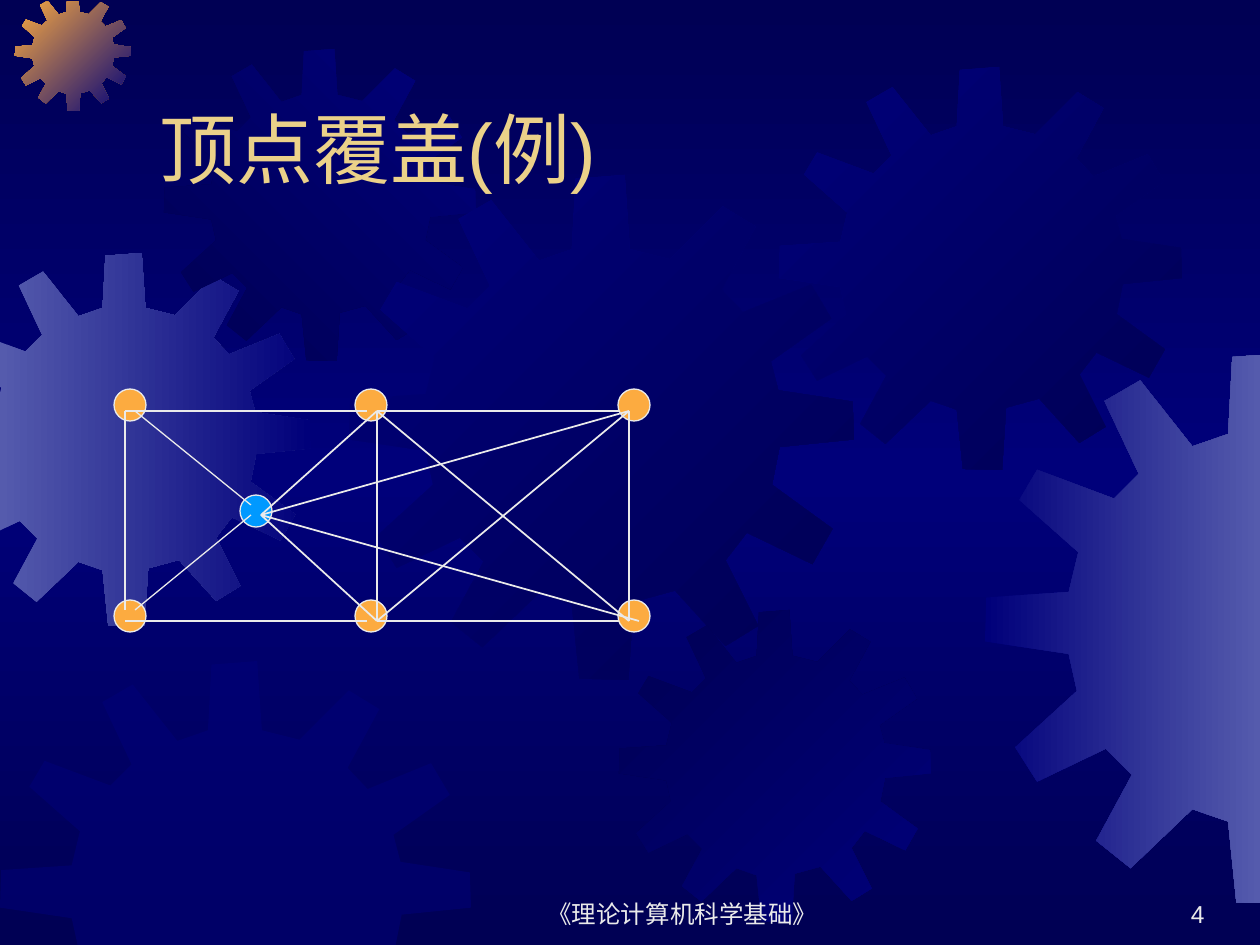
from copy import deepcopy

from lxml import etree
from pptx import Presentation
from pptx import util as u
from pptx.dml.color import RGBColor
from pptx.enum import lang, shapes, text
from pptx.oxml.ns import qn

SCALE = u.Inches(1) / 126
WIDTH, HEIGHT = 1260, 945
FRAME = (0, 2, WIDTH, HEIGHT)
DARK, NAVY, VIOLET, ORANGE = "000054", "00007A", "555BAD", "FCAB40"
BLUE, LIGHT, GOLD = "0099FF", "EAEAEA", "EBD189"

GEAR_SIZE = 401
GEAR = [
    (255, 67), (223, 59), (219, 0), (180, 3), (177, 59), (151, 68),
    (113, 20), (87, 35), (112, 88), (94, 106), (38, 85), (25, 107),
    (68, 145), (61, 174), (1, 178), (0, 210), (61, 219), (67, 246),
    (22, 287), (38, 312), (88, 288), (107, 307), (81, 355), (106, 375),
    (151, 332), (177, 341), (183, 400), (222, 401), (226, 339), (259, 330),
    (299, 374), (325, 358), (299, 306), (316, 284), (368, 309), (384, 281),
    (336, 246), (342, 216), (401, 210), (400, 180), (341, 171), (335, 148),
    (383, 114), (367, 87), (313, 109), (296, 91), (323, 41), (297, 25),
]
GEARS = [
    ((-62, 253, 373), (VIOLET, NAVY), 0),
    ((15, -5, 116), (ORANGE, NAVY), 45),
    ((164, 49, 312), (DARK, NAVY), 315),
    ((349, 175, 505), (NAVY, DARK), 45),
    ((0, 661, 471), (NAVY,), 0),
    ((619, 610, 312), (DARK, NAVY), 45),
    ((779, 67, 403), (NAVY, DARK), 45),
    ((985, 353, 551), (NAVY, VIOLET), 0),
]

NODE_SIZE = 32
HUB = (126, 106)
NODES = [(x, y) for x in (0, 241, 504) for y in (0, 211)]
THIN_EDGES = [
    (11, 22, 11, 221), (11, 22, 253, 22), (11, 232, 253, 232),
    (21, 22, 137, 116), (21, 221, 137, 126),
]
BOLD_EDGES = [
    (263, 22, 505, 22), (263, 232, 505, 232), (515, 22, 515, 232),
    (263, 22, 263, 232), (263, 22, 515, 232), (263, 232, 515, 22),
    (263, 22, 147, 126), (147, 126, 263, 232), (147, 126, 515, 22),
    (147, 126, 525, 232),
]


def px(*lengths):
    """Turn pixel lengths into EMU."""
    return [u.Emu(round(length * SCALE)) for length in lengths]


def colour(value):
    """Turn a hex string into a colour."""
    return RGBColor.from_string(value)


def paint_gradient(fill, colours, angle):
    """Fill with evenly spaced colours at a clockwise angle."""
    fill.gradient()
    fill.gradient_angle = -angle % 360
    stops = fill.gradient_stops
    for index, (stop, value) in enumerate(zip(stops, colours)):
        stop.color.rgb = colour(value)
        stop.position = index / (len(colours) - 1)


def paint_background(page):
    """Paint the page dark at both ends and lighter in the middle."""
    fill = page.background.fill
    fill.gradient()
    stop_list = next(page.element.iter(qn("a:gsLst")))
    stop_list.append(deepcopy(stop_list[-1]))
    paint_gradient(fill, (DARK, NAVY, DARK), 90)


def clip(points, axis, limit, sign):
    """Cut a polygon at one edge of the frame."""
    kept = []
    for start, end in zip(points, points[1:] + points[:1]):
        before, after = [sign * (point[axis] - limit) for point in (start, end)]
        if before >= 0:
            kept.append(start)
        if before * after < 0:
            part = before / (before - after)
            kept.append(tuple(a + part * (b - a) for a, b in zip(start, end)))
    return kept


def add_gear(page, box, colours, angle):
    """Draw a gear in a square box, cut at the frame."""
    left, top, size = box
    ratio = size / GEAR_SIZE
    points = [(left + x * ratio, top + y * ratio) for x, y in GEAR]
    for edge, limit in enumerate(FRAME):
        points = clip(points, edge % 2, limit, 1 if edge < 2 else -1)
    points = [tuple(px(*point)) for point in points]
    builder = page.shapes.build_freeform(*points[0])
    builder.add_line_segments(points[1:], close=True)
    gear = builder.convert_to_shape()
    gear.shadow.inherit = False
    gear.line.fill.background()
    if len(colours) > 1:
        paint_gradient(gear.fill, colours, angle)
    else:
        gear.fill.solid()
        gear.fill.fore_color.rgb = colour(colours[0])
        tint = next(gear.element.spPr.iter(qn("a:srgbClr")))
        etree.SubElement(tint, qn("a:alpha"), val="50000")


def add_text(page, box, words, size, value, align):
    """Write one line at the bottom of a box."""
    frame = page.shapes.add_textbox(*px(*box)).text_frame
    frame.word_wrap = True
    frame.vertical_anchor = text.MSO_ANCHOR.BOTTOM
    para = frame.paragraphs[0]
    para.alignment = align
    span = para.add_run()
    span.text = words
    settings = {"name": "Arial", "size": u.Pt(size),
                "language_id": lang.MSO_LANGUAGE_ID.SIMPLIFIED_CHINESE}
    for name, setting in settings.items():
        setattr(span.font, name, setting)
    span.font.color.rgb = colour(value)


def add_node(group, left, top, value):
    """Draw one vertex of the graph."""
    node = group.shapes.add_shape(
        shapes.MSO_SHAPE.OVAL, *px(left, top, NODE_SIZE, NODE_SIZE))
    node.shadow.inherit = False
    node.fill.solid()
    node.fill.fore_color.rgb = colour(value)
    node.line.color.rgb = colour(LIGHT)
    node.line.width = u.Pt(0.75)


def add_edge(group, ends, width):
    """Draw one edge of the graph."""
    edge = group.shapes.add_connector(shapes.MSO_CONNECTOR.STRAIGHT, *px(*ends))
    edge.line.color.rgb = colour(LIGHT)
    edge.line.width = u.Pt(width)
    etree.SubElement(edge.element.spPr, qn("a:effectLst"))


def add_graph(page, left, top):
    """Draw the graph with its vertex cover from a top left corner."""
    group = page.shapes.add_group_shape()
    for x, y in NODES + [HUB]:
        add_node(group, left + x, top + y, BLUE if (x, y) == HUB else ORANGE)
    for edges, width in ((THIN_EDGES, 0.75), (BOLD_EDGES, 1)):
        for x1, y1, x2, y2 in edges:
            add_edge(group, (left + x1, top + y1, left + x2, top + y2), width)


def build_deck():
    """Build and save the slide."""
    deck = Presentation()
    deck.slide_width, deck.slide_height = px(WIDTH, HEIGHT)
    page = deck.slides.add_slide(deck.slide_layouts[6])
    paint_background(page)
    for gear in GEARS:
        add_gear(page, *gear)
    align = text.PP_ALIGN
    add_text(page, (483, 872, 399, 63), "《理论计算机科学基础》", 14, LIGHT, align.CENTER)
    add_text(page, (955, 872, 262, 63), "4", 14, LIGHT, align.RIGHT)
    add_text(page, (147, 42, 1071, 158), "顶点覆盖(例)", 44, GOLD, align.LEFT)
    add_graph(page, 114, 389)
    deck.save("out.pptx")


build_deck()
